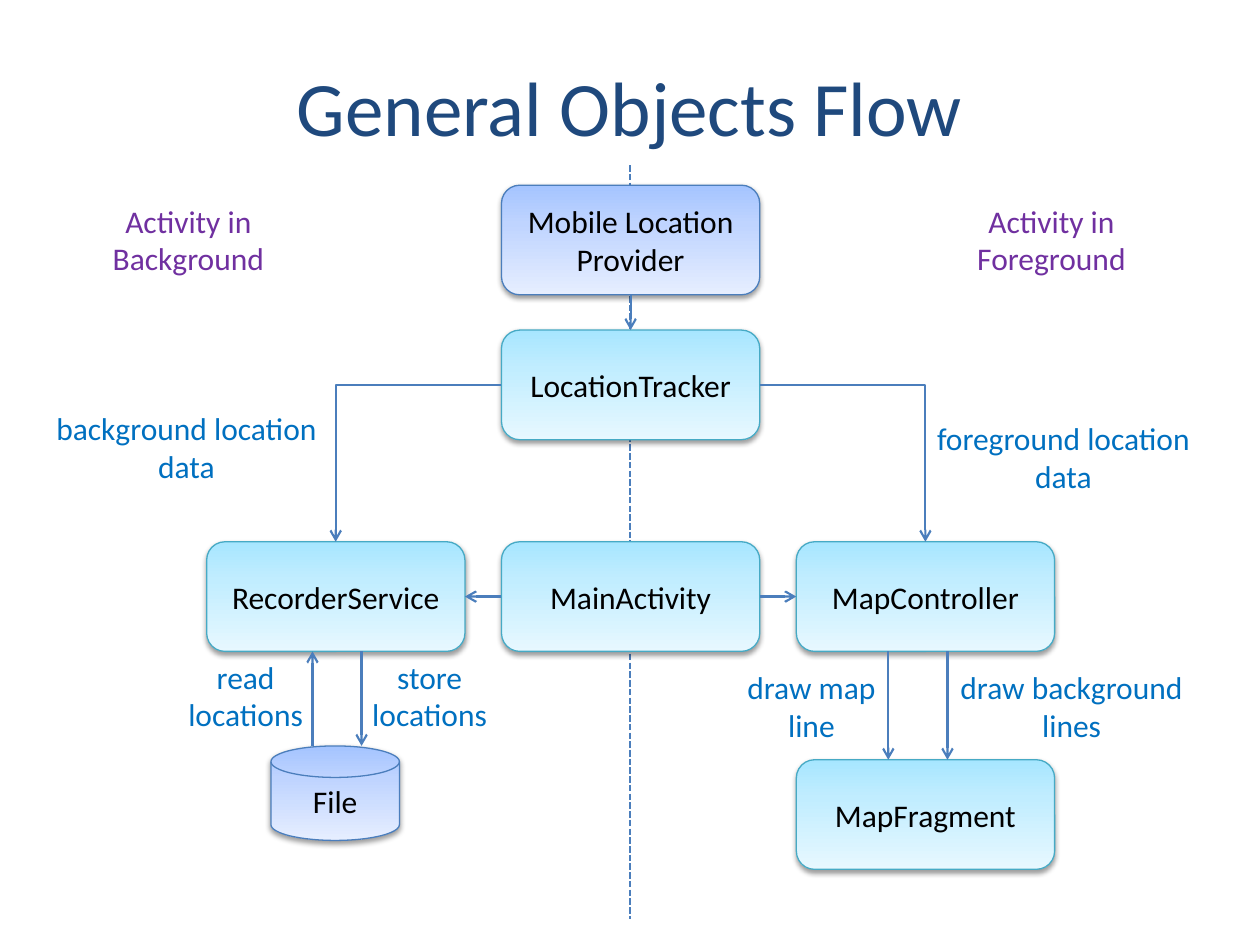
from lxml import etree
from pptx import Presentation
from pptx.dml.color import RGBColor
from pptx.enum import dml, shapes, text
from pptx.oxml import ns
from pptx.util import Inches, Pt

NAVY = RGBColor(0x1F, 0x49, 0x7D)
BLUE = RGBColor(0x00, 0x70, 0xC0)
PURPLE = RGBColor(0x70, 0x30, 0xA0)
BLACK = RGBColor(0x00, 0x00, 0x00)
STEEL = RGBColor(0x4B, 0x7E, 0xBC)
TEAL = RGBColor(0x46, 0xAA, 0xC5)
AQUA_STOPS = ("A7E6FF", "C1EDFF", "E7F8FF")
BLUE_STOPS = ("A4C4FF", "BFD4FF", "E6EEFF")

BOX_WIDTH, BOX_HEIGHT = 2.05, 0.87
COLUMN_STEP = 2.34
TOP, LEFT, BOTTOM, RIGHT = range(4)


def add_child(parent, tag, **attributes):
    child = etree.SubElement(parent, ns.qn(tag))
    for name, value in attributes.items():
        child.set(name, str(value))
    return child


def write(frame, words, size, color):
    frame.word_wrap = True
    frame.text = words
    for para in frame.paragraphs:
        para.alignment = text.PP_ALIGN.CENTER
        para.font.name = "Calibri"
        para.font.size = Pt(size)
        para.font.color.rgb = color


def add_label(page, words, left, top, width, height=0.71, size=18, color=BLUE):
    box = page.shapes.add_textbox(*map(Inches, (left, top, width, height)))
    write(box.text_frame, words, size, color)
    return box


def add_gradient(shape, stops):
    shape.fill.gradient()
    shape.fill.gradient_angle = 270
    stop_list = shape._element.spPr.find(".//" + ns.qn("a:gsLst"))
    for stop in list(stop_list):
        stop_list.remove(stop)
    for position, color in zip((0, 35000, 100000), stops):
        stop = add_child(stop_list, "a:gs", pos=position)
        add_child(stop, "a:srgbClr", val=color)


def add_shadow(shape):
    shape.shadow.inherit = False
    effects = shape._element.spPr.find(ns.qn("a:effectLst"))
    shadow = add_child(effects, "a:outerShdw", blurRad=Pt(3.1), dist=Pt(1.6),
                       dir=5400000, rotWithShape=0)
    color = add_child(shadow, "a:srgbClr", val="000000")
    add_child(color, "a:alpha", val=38000)


def add_node(page, words, left, top, width=BOX_WIDTH, height=BOX_HEIGHT,
             kind=shapes.MSO_SHAPE.ROUNDED_RECTANGLE, stops=AQUA_STOPS, outline=TEAL):
    node = page.shapes.add_shape(kind, *map(Inches, (left, top, width, height)))
    add_gradient(node, stops)
    node.line.color.rgb = outline
    node.line.width = Pt(0.75)
    add_shadow(node)
    node.text_frame.vertical_anchor = text.MSO_ANCHOR.MIDDLE
    write(node.text_frame, words, 18, BLACK)
    return node


def add_line(page, start=(0, 0), end=(0, 0), arrow=True, kind=shapes.MSO_CONNECTOR.STRAIGHT):
    line = page.shapes.add_connector(kind, *map(Inches, (*start, *end)))
    line.line.color.rgb = STEEL
    line.line.width = Pt(1.25)
    if arrow:
        add_child(line.line._get_or_add_ln(), "a:tailEnd", type="arrow")
    add_child(line._element.spPr, "a:effectLst")
    return line


def join(page, source, source_side, target, target_side, bent=False):
    kind = shapes.MSO_CONNECTOR.ELBOW if bent else shapes.MSO_CONNECTOR.STRAIGHT
    line = add_line(page, kind=kind)
    line.begin_connect(source, source_side)
    line.end_connect(target, target_side)
    if bent:
        line._element.spPr.find(ns.qn("a:prstGeom")).set("prst", "bentConnector2")


def add_heading(page, left, top, width, height):
    title = add_label(page, "General Objects Flow", left, top, width, height, 44, NAVY)
    title.text_frame.vertical_anchor = text.MSO_ANCHOR.MIDDLE
    divider = add_line(page, (left + width / 2, top + 1.1), (left + width / 2, top + 7.08), False)
    divider.line.dash_style = dml.MSO_LINE.SQUARE_DOT
    for words, offset in (("Activity in Background", 0.17), ("Activity in Foreground", 7.02)):
        add_label(page, words, left + offset, top + 1.34, 1.65, color=PURPLE)


def add_center(page, left, top):
    provider = add_node(page, "Mobile Location Provider", left, top,
                        stops=BLUE_STOPS, outline=STEEL)
    tracker = add_node(page, "LocationTracker", left, top + 1.15)
    activity = add_node(page, "MainActivity", left, top + 2.83)
    join(page, provider, BOTTOM, tracker, TOP)
    return tracker, activity


def add_recorder(page, left, top, tracker, activity):
    recorder = add_node(page, "RecorderService", left, top)
    join(page, tracker, LEFT, recorder, TOP, bent=True)
    join(page, activity, LEFT, recorder, RIGHT)
    add_label(page, "background location\ndata", left - 1.36, top - 1.1, 2.4)
    add_label(page, "read locations", left - 0.34, top + BOX_HEIGHT, 1.3)
    add_label(page, "store locations", left + 1.12, top + BOX_HEIGHT, 1.3)
    add_node(page, "File", left + 0.51, top + 1.62, 1.02, 0.75,
             shapes.MSO_SHAPE.FLOWCHART_MAGNETIC_DISK, BLUE_STOPS, STEEL)
    add_line(page, (left + 0.84, top + 1.62), (left + 0.84, top + BOX_HEIGHT))
    add_line(page, (left + 1.23, top + BOX_HEIGHT), (left + 1.23, top + 1.62))


def add_map(page, left, top, tracker, activity):
    controller = add_node(page, "MapController", left, top)
    join(page, tracker, RIGHT, controller, TOP, bent=True)
    join(page, activity, RIGHT, controller, LEFT)
    add_label(page, "foreground location\ndata", left + 0.96, top - 1.02, 2.32)
    add_label(page, "draw map line", left - 0.53, top + 0.95, 1.3)
    add_label(page, "draw background lines", left + 1.12, top + 0.95, 2.13)
    add_node(page, "MapFragment", left, top + 1.73)
    for offset in (0.73, 1.2):
        add_line(page, (left + offset, top + BOX_HEIGHT), (left + offset, top + 1.73))


deck = Presentation()
deck.slide_width, deck.slide_height = Inches(10), Inches(7.5)
page = deck.slides.add_slide(deck.slide_layouts[6])
add_heading(page, 0.5, 0.21, 9, 1.25)
center_left, row_top = 3.98, 4.3
tracker, activity = add_center(page, center_left, 1.47)
add_recorder(page, center_left - COLUMN_STEP, row_top, tracker, activity)
add_map(page, center_left + COLUMN_STEP, row_top, tracker, activity)
deck.save("out.pptx")
